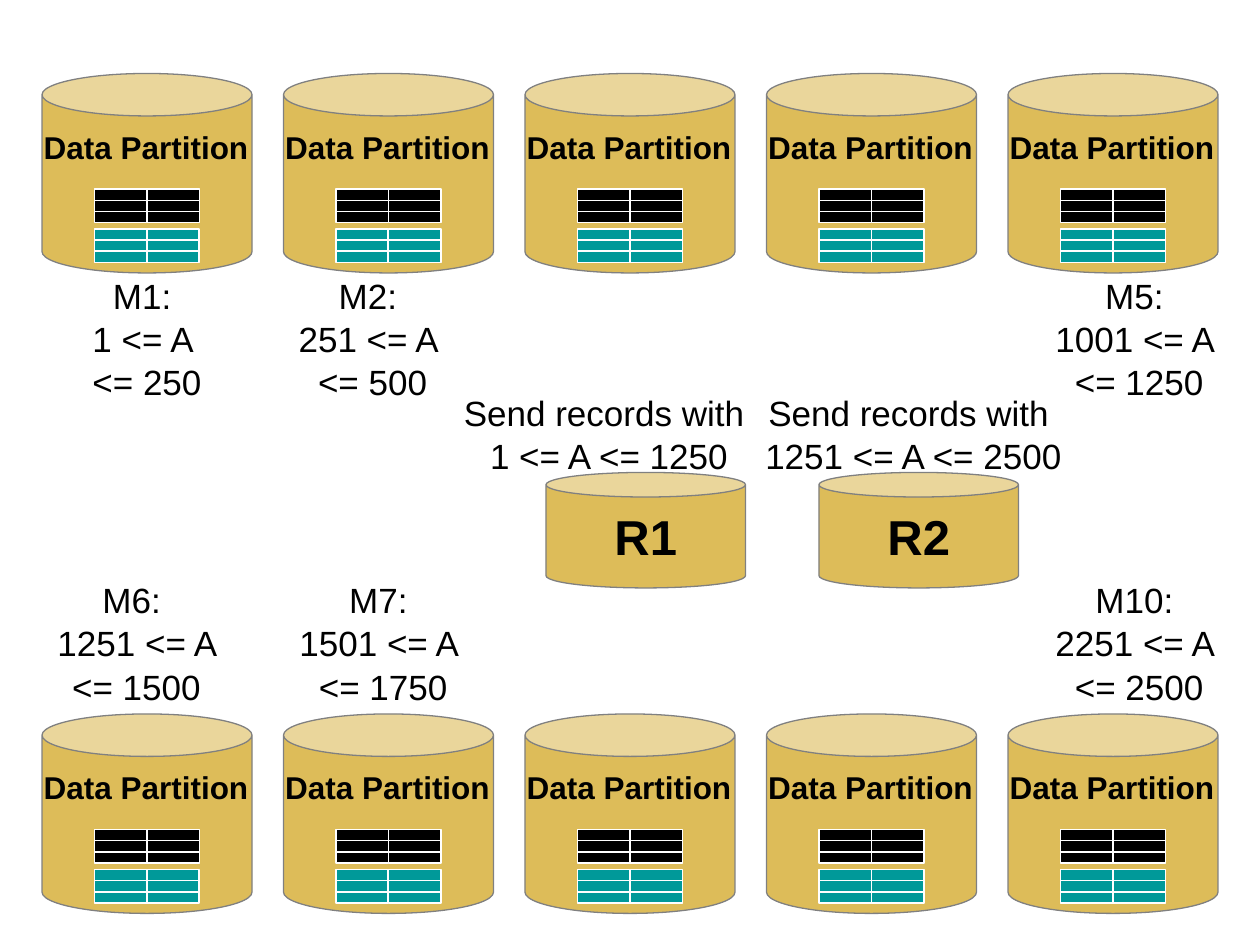
import pptx
import pptx.util
import pptx.dml.color
import pptx.enum.shapes
import pptx.enum.text
import pptx.oxml.ns
import lxml.etree

SHAPES = pptx.enum.shapes.MSO_SHAPE
TEXT = pptx.enum.text


def color(hex_string):
    return pptx.dml.color.RGBColor.from_string(hex_string)


class PartitionSlide:
    """Slide style and drawing methods on a grid of 120 columns by 90 rows."""

    font_name = "Arial"
    ink = "000000"
    gold = "CC9900"
    teal = "009999"
    outline = "808080"
    rule = "FFFFFF"
    opacity = 65

    def __init__(self, presentation):
        self.slide = presentation.slides.add_slide(presentation.slide_layouts[6])
        self.column = presentation.slide_width / 120
        self.row = presentation.slide_height / 90

    def place(self, left, top, width, height):
        return (round(left * self.column), round(top * self.row),
                round(width * self.column), round(height * self.row))

    def shape(self, shapes, kind, box, fill, line, weight):
        shape = shapes.add_shape(kind, *self.place(*box))
        shape.shadow.inherit = False
        shape.fill.solid()
        shape.fill.fore_color.rgb = color(fill)
        shape.line.color.rgb = color(line)
        shape.line.width = pptx.util.Pt(weight)
        return shape

    def add_text(self, paragraph, text, size, bold=False):
        paragraph.alignment = TEXT.PP_ALIGN.CENTER
        run = paragraph.add_run()
        run.text = text
        run.font.name = self.font_name
        run.font.size = pptx.util.Pt(size)
        run.font.bold = bold
        run.font.color.rgb = color(self.ink)

    def can(self, left, top, width, height, label=None):
        shape = self.shape(self.slide.shapes, SHAPES.CAN, (left, top, width, height),
                           self.gold, self.outline, 0.75)
        shape.adjustments[0] = 0.213
        fill_color = shape._element.spPr.find(".//" + pptx.oxml.ns.qn("a:srgbClr"))
        alpha = lxml.etree.SubElement(fill_color, pptx.oxml.ns.qn("a:alpha"))
        alpha.set("val", str(self.opacity * 1000))
        if label:
            frame = shape.text_frame
            frame.word_wrap = False
            frame.vertical_anchor = TEXT.MSO_ANCHOR.MIDDLE
            self.add_text(frame.paragraphs[0], label, 28, True)

    def label(self, box, lines, size=20, bold=False, wrap=True):
        frame = self.slide.shapes.add_textbox(*self.place(*box)).text_frame
        frame.word_wrap = wrap
        frame.auto_size = TEXT.MSO_AUTO_SIZE.SHAPE_TO_FIT_TEXT
        for index, line in enumerate(lines):
            paragraph = frame.add_paragraph() if index else frame.paragraphs[0]
            paragraph.line_spacing = 0.9
            paragraph.space_after = pptx.util.Pt(3)
            self.add_text(paragraph, line, size, bold)

    def line(self, shapes, left, top, width, weight):
        x, y, length, _ = self.place(left, top, width, 0)
        connector = shapes.add_connector(
            pptx.enum.shapes.MSO_CONNECTOR.STRAIGHT, x, y, x + length, y)
        connector.line.color.rgb = color(self.rule)
        connector.line.width = pptx.util.Pt(weight)
        properties = connector._element.spPr
        lxml.etree.SubElement(properties, pptx.oxml.ns.qn("a:effectLst"))

    def records(self, left, top, fill, weight):
        shapes = self.slide.shapes.add_group_shape().shapes
        cell_width, height = 5, 3.2
        for index in range(2):
            self.shape(shapes, SHAPES.RECTANGLE,
                       (left + index * cell_width, top, cell_width, height),
                       fill, self.rule, weight)
        for third in (1, 2):
            self.line(shapes, left, top + third * height / 3, 2 * cell_width, weight)

    def partition(self, left, top):
        self.can(left, top, 20, 19)
        self.label((left - 1.1, top + 5, 22, 4.5), ["Data Partition"], 18, True, False)
        self.records(left + 5, top + 11, self.ink, 0.75)
        self.records(left + 5, top + 14.8, self.teal, 1)


def main():
    presentation = pptx.Presentation()
    presentation.slide_width = pptx.util.Inches(10)
    presentation.slide_height = pptx.util.Inches(7.5)
    slide = PartitionSlide(presentation)

    for top in (7, 68):
        for index in range(5):
            slide.partition(4 + 23 * index, top)

    mappers = [
        (7, 26, 14, "M1: ", "1 <= A ", "<= 250"),
        (27, 26, 17, "M2: ", "251 <= A ", "<= 500"),
        (99, 26, 19, "M5: ", "1001 <= A ", "<= 1250"),
        (4, 55, 18, "M6: ", "1251 <= A ", "<= 1500"),
        (27, 55, 19, "M7: ", "1501 <= A ", "<= 1750"),
        (99, 55, 19, "M10: ", "2251 <= A ", "<= 2500"),
    ]
    for left, top, width, *lines in mappers:
        slide.label((left, top, width, 13), lines)

    reducers = [
        ("R1", 52, 42, "1 <= A <= 1250"),
        ("R2", 78, 71, "1251 <= A <= 2500"),
    ]
    for name, can_left, label_left, key_range in reducers:
        slide.can(can_left, 45, 19, 11, name)
        slide.label((label_left, 37.1, 32, 9), ["Send records with ", key_range])

    presentation.save("out.pptx")


if __name__ == "__main__":
    main()
